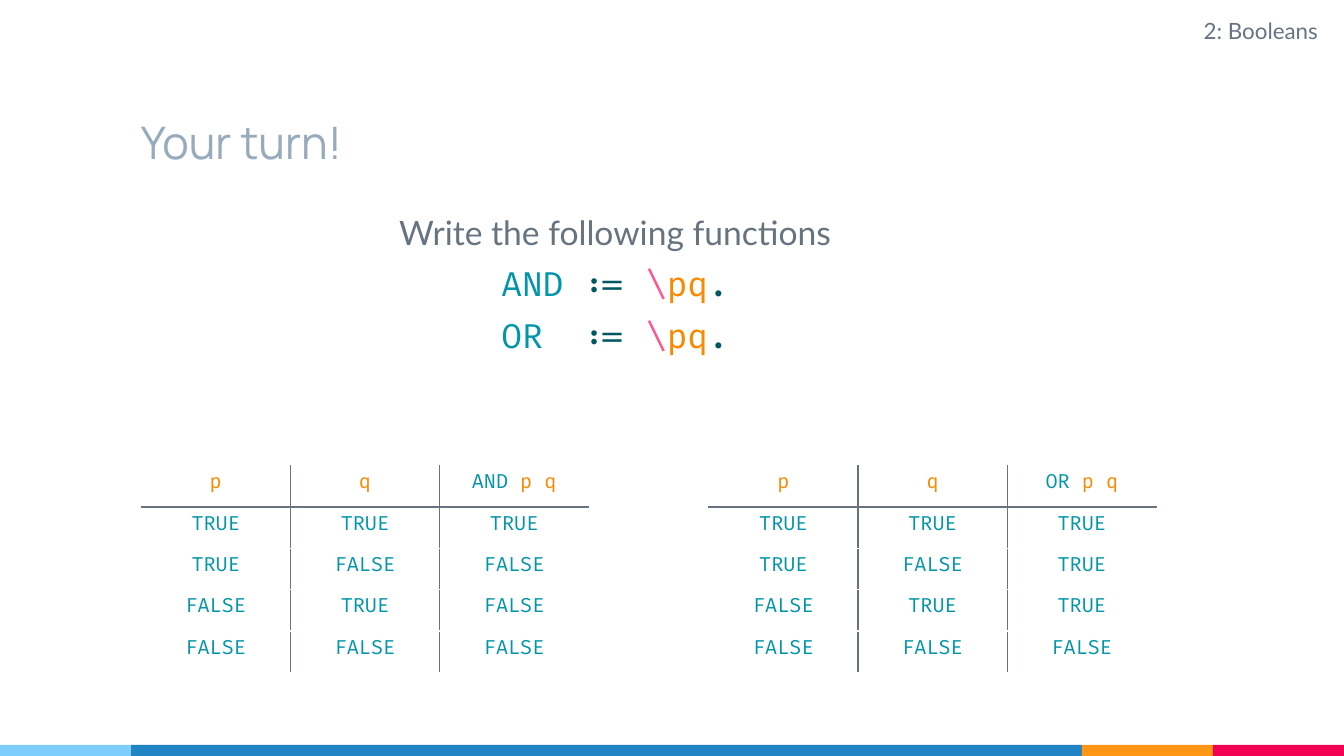
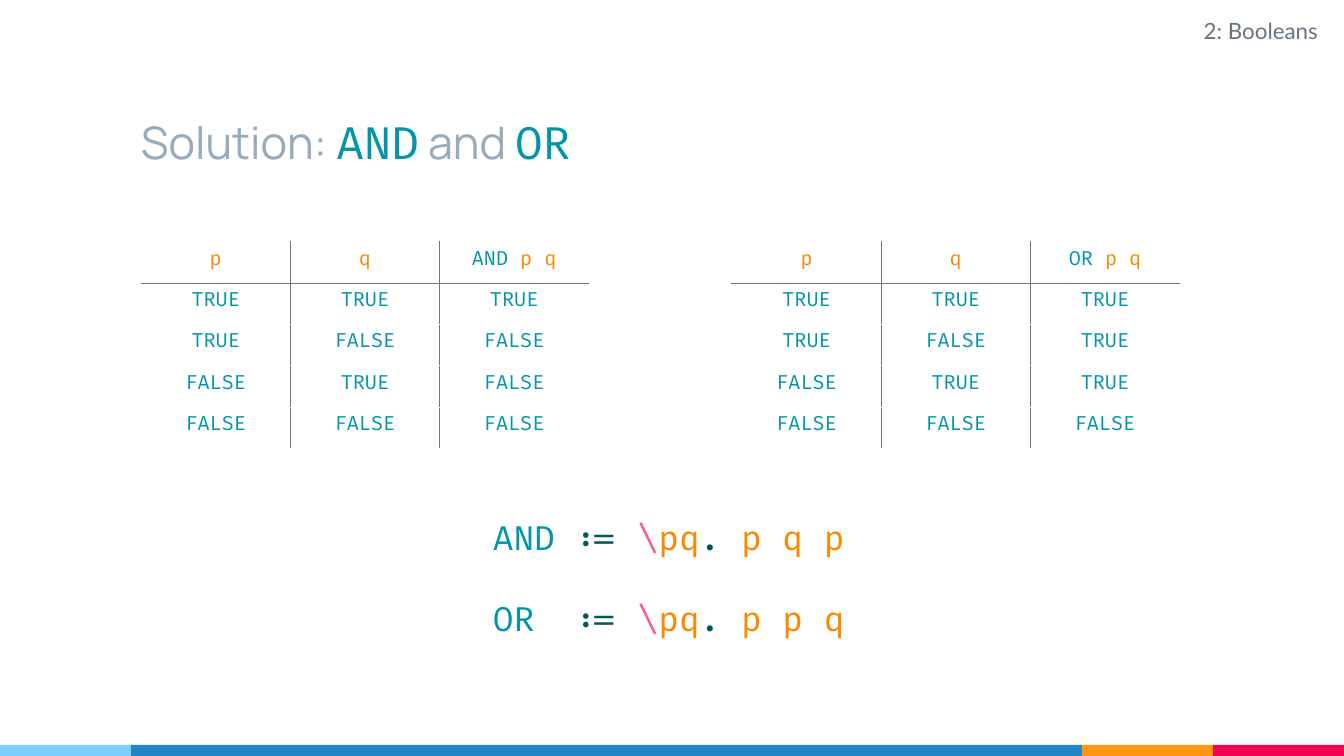
"""Build two slides on Boolean functions with their truth tables."""
from dataclasses import dataclass
from itertools import pairwise, product

from lxml.etree import SubElement
from pptx import Presentation
from pptx.dml.color import RGBColor
from pptx.enum.shapes import MSO_SHAPE
from pptx.enum.text import MSO_ANCHOR, PP_ALIGN
from pptx.oxml.ns import qn
from pptx.util import Inches, Pt


@dataclass(frozen=True)
class Theme:
    """Hold the shared colours, fonts and type sizes."""
    title: str = "97ABBC"
    body: str = "677480"
    name: str = "0095A8"
    sign: str = "005661"
    slash: str = "FF5792"
    var: str = "FA8900"
    paper: str = "FFFFFF"
    bands: tuple = ("7ECEFD", "2185C5", "FF9715", "F20253")
    head: str = "Manrope"
    text: str = "Lato"
    code: str = "Fira Code"
    big: int = 32
    mid: int = 24
    note: int = 16
    small: int = 14


T = Theme()
WIDE, HIGH = 13.33, 7.5
EDGES = (0, 1.3, 10.73, 12.03, WIDE)
MAIN = EDGES[2] - EDGES[1]
BAND = 0.11
COL, ROW = 1.48, 0.41
LEFT = 1.4

TOPIC = "2: Booleans"
TASK = "Write the following functions"
TURN = [("Your turn!", "title")]
SOLVED = [("Solution: ", "title"), ("AND", "name"),
          (" and ", "title"), ("OR", "name")]
LOGIC = {"AND": min, "OR": max}
LABELS = {"AND": "AND", "OR": "OR "}
ANSWERS = {"AND": "p q p", "OR": "p p q"}


def rgb(code):
    """Turn a hex code into a colour."""
    return RGBColor.from_string(code)


def define(name, answer=""):
    """Return the coloured parts of a function definition."""
    parts = [(LABELS[name], "name"), (" := ", "sign"), ("\\", "slash"),
             ("pq", "var"), (". " if answer else ".", "sign")]
    return parts + ([(answer, "var")] if answer else [])


def write(para, parts, size, align=PP_ALIGN.LEFT, gap=0):
    """Fill a paragraph with coloured parts."""
    fonts = {"title": T.head, "body": T.text}
    para.alignment = align
    para.space_before = Pt(gap)
    para.font.size = Pt(size)
    faces = [fonts.get(role, T.code) for _, role in parts]
    same = len(set(faces)) == 1
    if same:
        para.font.name = faces[0]
    for (text, role), face in zip(parts, faces):
        run = para.add_run()
        run.text = text
        run.font.color.rgb = rgb(getattr(T, role))
        if not same:
            run.font.name = face


def add_text(slide, box, lines, size, align=PP_ALIGN.LEFT, gap=0,
             pad=(0.1, 0.1), anchor=MSO_ANCHOR.TOP, indent=0):
    """Add a text box with one paragraph per line."""
    frame = slide.shapes.add_textbox(*map(Inches, box)).text_frame
    frame.word_wrap = True
    frame.vertical_anchor = anchor
    frame.margin_left = Inches(pad[0] + indent)
    frame.margin_right = Inches(pad[0])
    frame.margin_top = frame.margin_bottom = Inches(pad[1])
    for num, parts in enumerate(lines):
        para = frame.add_paragraph() if num else frame.paragraphs[0]
        write(para, parts, size, align, gap if num else 0)


def rule(cell, sides):
    """Draw lines on the given sides of a cell."""
    props = cell._tc.get_or_add_tcPr()
    for side in sides:
        line = SubElement(props, qn(f"a:ln{side}"), w=str(Pt(1)))
        fill = SubElement(line, qn("a:solidFill"))
        SubElement(fill, qn("a:srgbClr"), val=T.body)


def add_truth(slide, name, left, top):
    """Add the truth table of one function."""
    rows = [[[("p", "var")], [("q", "var")],
             [(name + " ", "name"), ("p q", "var")]]]
    for pair in product((True, False), repeat=2):
        values = (*pair, LOGIC[name](pair))
        rows.append([[(str(val).upper(), "name")] for val in values])
    count, wide = len(rows), len(rows[0])
    table = slide.shapes.add_table(
        count, wide, *map(Inches, (left, top, COL * wide, ROW * count))).table
    table.first_row = table.horz_banding = False
    for col in table.columns:
        col.width = Inches(COL)
    for y, row in enumerate(rows):
        table.rows[y].height = Inches(ROW)
        for x, parts in enumerate(row):
            cell = table.cell(y, x)
            shown = {"L": x > 0, "R": x < wide - 1, "T": y == 1, "B": y == 0}
            rule(cell, [side for side, show in shown.items() if show])
            cell.fill.solid()
            cell.fill.fore_color.rgb = rgb(T.paper)
            write(cell.text_frame.paragraphs[0], parts, T.small,
                  PP_ALIGN.CENTER)


def add_slide(deck, title, lefts, top):
    """Add a slide with bands, title, topic and truth tables."""
    slide = deck.slides.add_slide(deck.slide_layouts[6])
    for (start, end), tint in zip(pairwise(EDGES), T.bands):
        box = (start, HIGH - BAND, end - start, BAND)
        band = slide.shapes.add_shape(MSO_SHAPE.RECTANGLE, *map(Inches, box))
        band.shadow.inherit = False
        band.fill.solid()
        band.fill.fore_color.rgb = rgb(tint)
        band.line.fill.background()
    add_text(slide, (EDGES[1], 0.52, MAIN, 1.25), [title], T.big,
             anchor=MSO_ANCHOR.BOTTOM)
    add_text(slide, (EDGES[2], 0.07, 2.44, 0.46), [[(TOPIC, "body")]],
             T.note, PP_ALIGN.RIGHT)
    for name, left in zip(LOGIC, lefts):
        add_truth(slide, name, left, top)
    return slide


def main():
    """Build and save the deck."""
    deck = Presentation()
    deck.slide_width, deck.slide_height = Inches(WIDE), Inches(HIGH)

    slide = add_slide(deck, TURN, (LEFT, 7.03), 4.62)
    lines = [[(TASK, "body")], *map(define, LOGIC)]
    add_text(slide, (EDGES[1], 2, MAIN, 2.5), lines, T.mid,
             PP_ALIGN.CENTER, gap=8, indent=0.17)

    slide = add_slide(deck, SOLVED, (LEFT, 7.26), 2.4)
    lines = [define(*item) for item in ANSWERS.items()]
    add_text(slide, (4.79, 5.08, 3.75, 1.31), lines, T.mid,
             gap=29, pad=(0.1, 0.05))

    deck.save("out.pptx")


if __name__ == "__main__":
    main()
